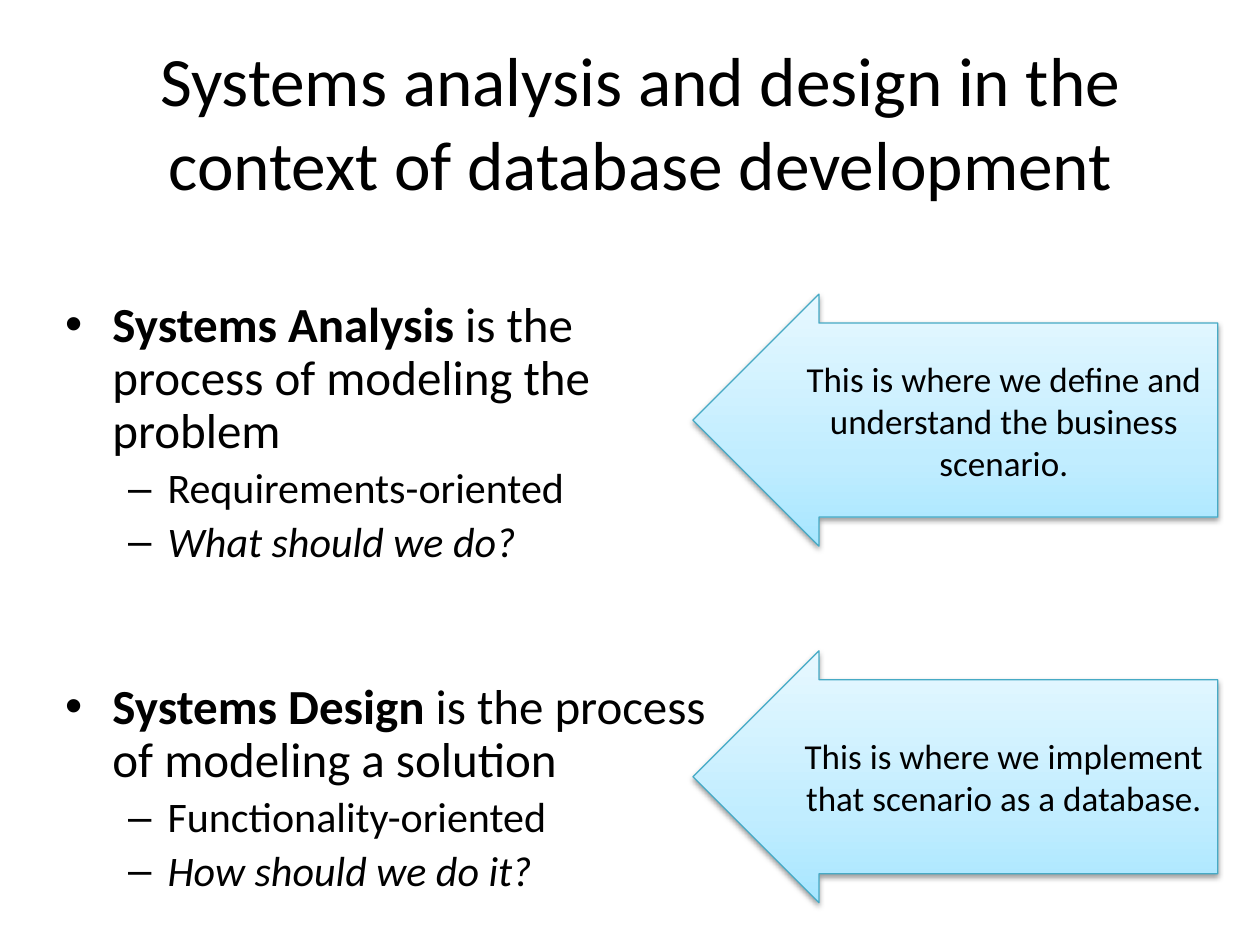
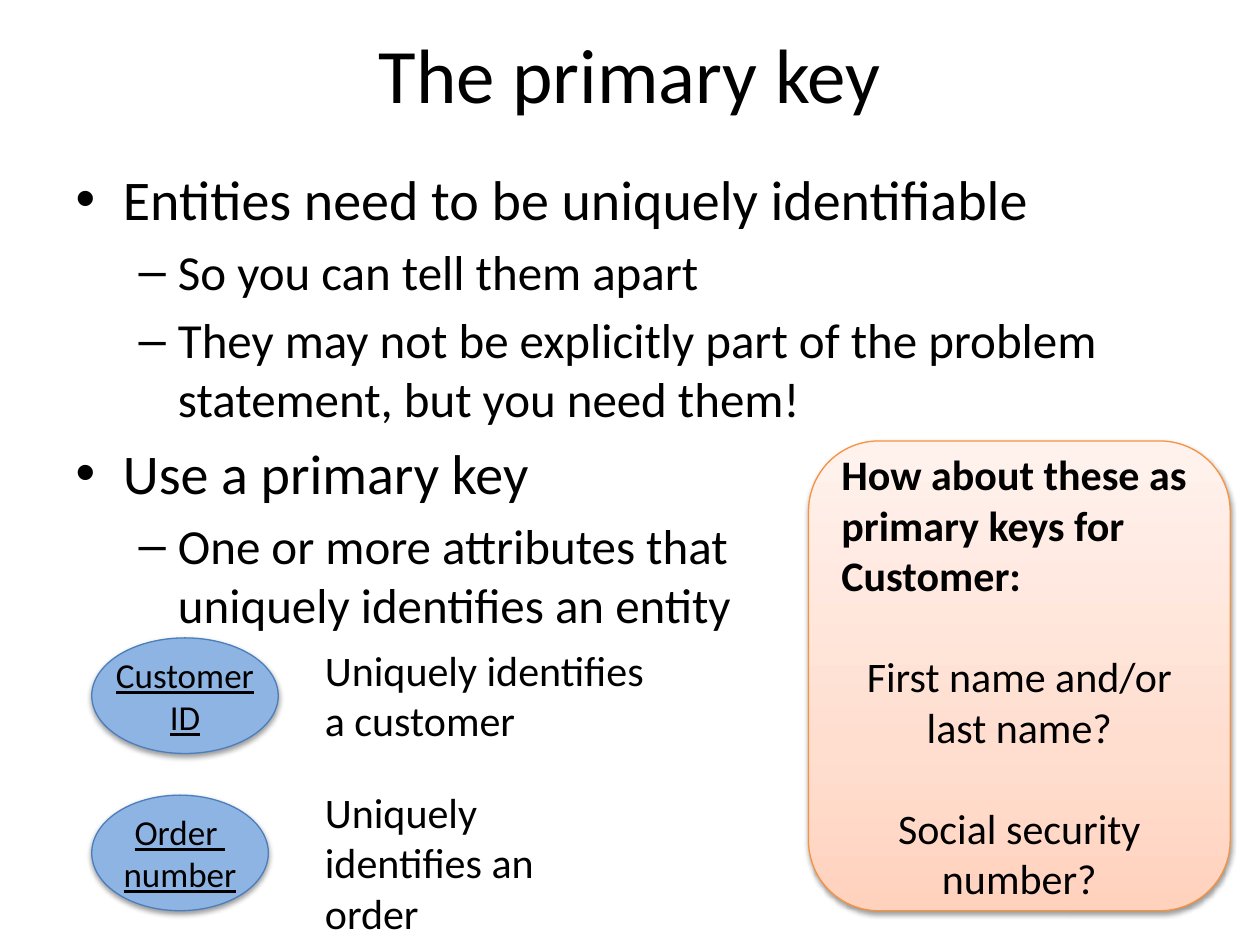
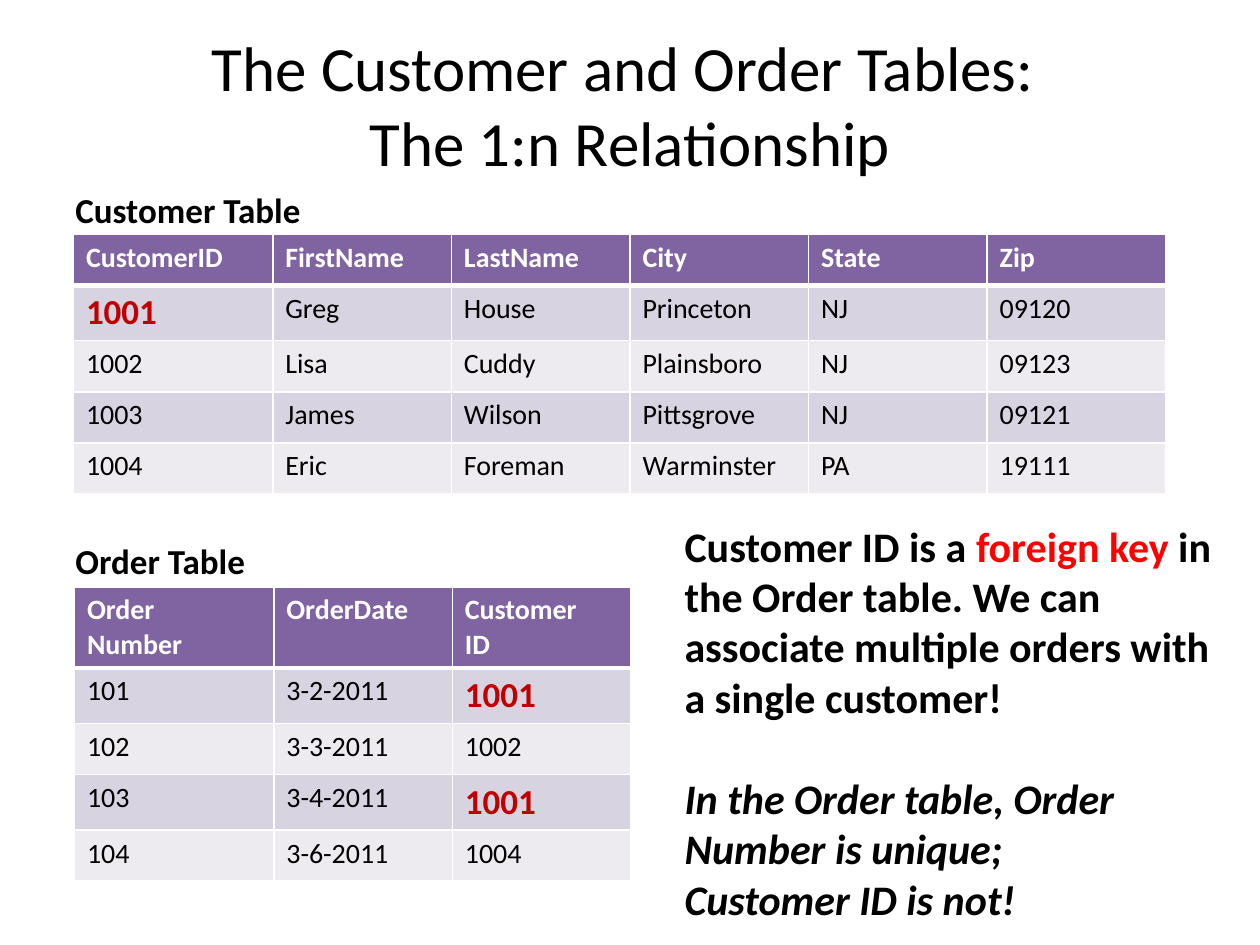
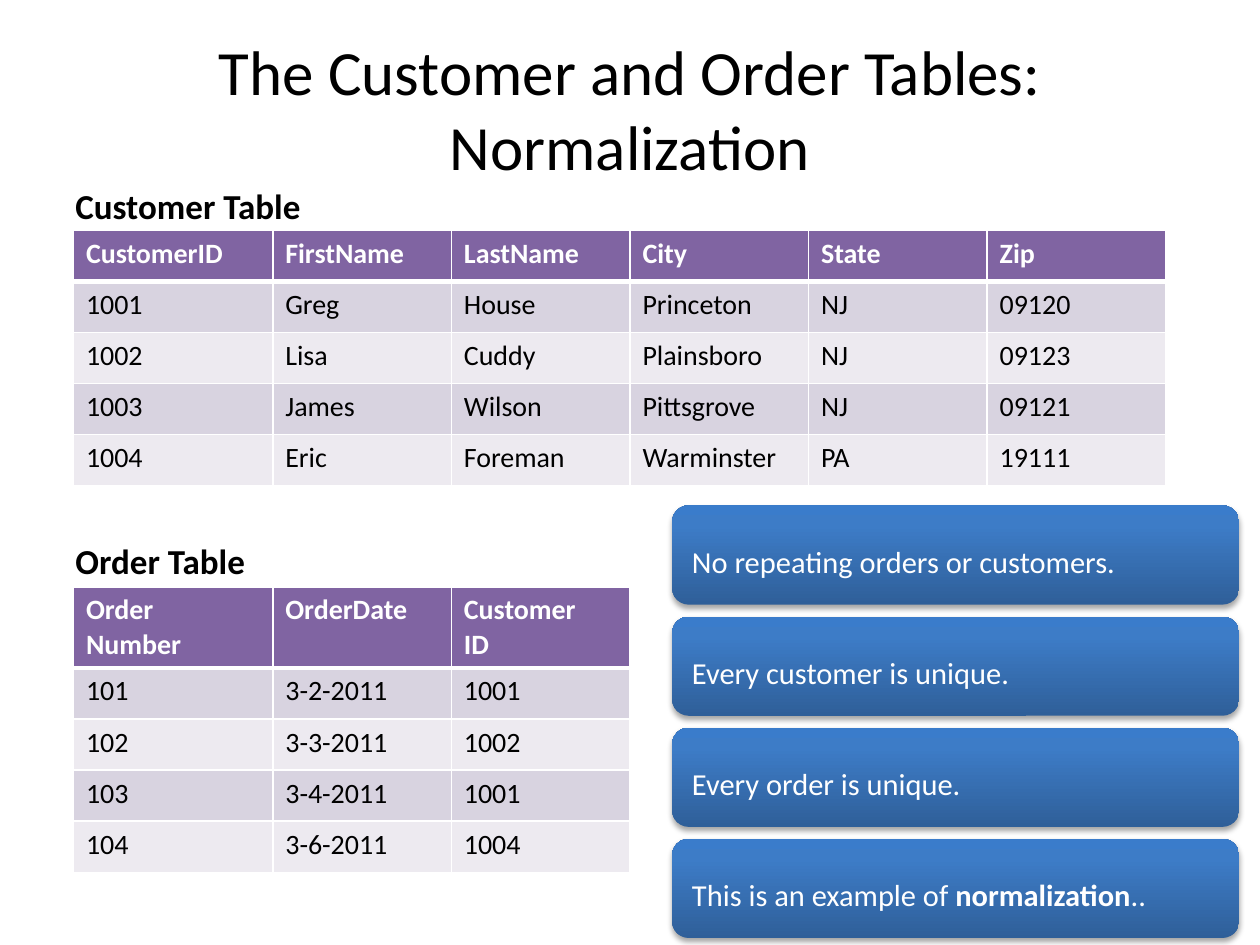
import dataclasses
import typing

import lxml.etree
import pptx
import pptx.dml.color
import pptx.enum.shapes
import pptx.enum.text
import pptx.oxml.ns
import pptx.util

Cm = pptx.util.Cm
Pt = pptx.util.Pt
qn = pptx.oxml.ns.qn
Align = pptx.enum.text.PP_ALIGN
AutoSize = pptx.enum.text.MSO_AUTO_SIZE
ShapeType = pptx.enum.shapes.MSO_SHAPE

# Shared look
FONT = "Calibri"
COLORS = {
    "black": "000000", "white": "FFFFFF", "red": "FF0000", "key": "C00000",
    "header": "8064A2", "odd_row": "D8D3E0", "even_row": "EDEAF0",
    "attribute": "8EB4E3", "attribute_line": "4B7EBC",
    "arrow_line": "46AAC5", "question_line": "F69240",
}
GRADIENTS = {
    "arrow": ((0, "A7E6FF"), (35, "C1EDFF"), (100, "E7F8FF")),
    "question": ((0, "FFD2BD"), (35, "FFDED0"), (100, "FFF2ED")),
    "rule": ((0, "2F5F99"), (80, "3D7CC7"), (100, "3A7CCB")),
}
TITLE_WIDTH = 22.86
TITLE_AND_CONTENT, TITLE_ONLY = 1, 5
BLANK_LINE = 29

# Table contents
CUSTOMERS = (
    ("CustomerID", "FirstName", "LastName", "City", "State", "Zip"),
    ("1001", "Greg", "House", "Princeton", "NJ", "09120"),
    ("1002", "Lisa", "Cuddy", "Plainsboro", "NJ", "09123"),
    ("1003", "James", "Wilson", "Pittsgrove", "NJ", "09121"),
    ("1004", "Eric", "Foreman", "Warminster", "PA", "19111"),
)
ORDERS = (
    ("Order\nNumber", "OrderDate", "Customer\nID"),
    ("101", "3-2-2011", "1001"),
    ("102", "3-3-2011", "1002"),
    ("103", "3-4-2011", "1001"),
    ("104", "3-6-2011", "1004"),
)


class Box(typing.NamedTuple):
    """Left, top, width and height in centimetres."""
    left: float
    top: float
    width: float
    height: float

    def lengths(self) -> tuple:
        return tuple(Cm(value) for value in self)


class Run(typing.NamedTuple):
    """Text with the format that differs from its paragraph."""
    text: str
    format: dict = {}


@dataclasses.dataclass
class Bullet:
    text: typing.Union[str, tuple]
    level: int = 0
    italic: bool = False
    space_before: typing.Optional[float] = None


@dataclasses.dataclass
class Attribute:
    name: str
    oval: Box
    meaning: str
    meaning_box: Box


@dataclasses.dataclass
class Panel:
    kind: typing.Any
    box: Box
    fill: str
    line: typing.Optional[str] = None
    shadow_opacity: int = 38
    shadow_distance: float = 1.6


# Text
def rgb(name: str):
    return pptx.dml.color.RGBColor.from_string(COLORS[name])


def format_run(run, size: float, color: str = "black", bold: bool = False,
               italic: bool = False, underline: bool = False, baseline: int = 0) -> None:
    font = run.font
    font.name, font.size = FONT, Pt(size)
    font.bold, font.italic, font.underline = bold, italic, underline
    font.color.rgb = rgb(color)
    if baseline:
        run._r.get_or_add_rPr().set("baseline", str(baseline * 1000))


def add_text(frame, text, align=Align.LEFT, level: int = 0, space_before=None,
             space_after=None, line_spacing=None, **style):
    """Add one paragraph; text is a string or a tuple of runs."""
    paragraph = frame.paragraphs[0]
    if paragraph.runs:
        paragraph = frame.add_paragraph()
    paragraph.alignment, paragraph.level = align, level
    if space_before is not None:
        paragraph.space_before = Pt(space_before)
    if space_after is not None:
        paragraph.space_after = Pt(space_after)
    if line_spacing is not None:
        paragraph.line_spacing = line_spacing
    for part in (Run(text),) if isinstance(text, str) else text:
        for index, line in enumerate(part.text.split("\n")):
            if index:
                paragraph.add_line_break()
            run = paragraph.add_run()
            run.text = line
            format_run(run, **{**style, **part.format})


def place(shape, box: Box) -> None:
    shape.left, shape.top, shape.width, shape.height = box.lengths()


def add_slide(presentation, layout: int, title: str, box: Box, size: float):
    slide = presentation.slides.add_slide(presentation.slide_layouts[layout])
    place(slide.shapes.title, box)
    frame = slide.shapes.title.text_frame
    frame.auto_size = AutoSize.NONE
    add_text(frame, title, align=Align.CENTER, size=size)
    return slide


def fill_body(slide, box: Box, bullets: typing.Sequence[Bullet],
              sizes: tuple, line_spacing=None) -> None:
    body = slide.placeholders[1]
    place(body, box)
    body.text_frame.auto_size = AutoSize.NONE
    for bullet in bullets:
        add_text(body.text_frame, bullet.text, level=bullet.level, size=sizes[bullet.level],
                 italic=bullet.italic, space_before=bullet.space_before,
                 line_spacing=line_spacing)


def add_text_box(shapes, box: Box, wrap: bool = True, grow: bool = True):
    frame = shapes.add_textbox(*box.lengths()).text_frame
    frame.word_wrap = wrap
    frame.auto_size = AutoSize.SHAPE_TO_FIT_TEXT if grow else AutoSize.NONE
    return frame


# Panels
def add_color(parent, value: str, opacity: int = 100) -> None:
    color = lxml.etree.SubElement(parent, qn("a:srgbClr"), val=value)
    if opacity < 100:
        lxml.etree.SubElement(color, qn("a:alpha"), val=str(opacity * 1000))


def set_gradient(shape, stops: tuple) -> None:
    """Fill from bottom to top with any number of stops."""
    shape.fill.gradient()
    shape.fill.gradient_angle = 90
    stop_list = shape._element.spPr.find(qn("a:gradFill")).find(qn("a:gsLst"))
    for stop in list(stop_list):
        stop_list.remove(stop)
    for position, value in stops:
        stop = lxml.etree.SubElement(stop_list, qn("a:gs"), pos=str(position * 1000))
        add_color(stop, value)


def set_shadow(shape, opacity: int, distance: float) -> None:
    shape.shadow.inherit = False
    effects = shape._element.spPr.find(qn("a:effectLst"))
    shadow = lxml.etree.SubElement(
        effects, qn("a:outerShdw"), blurRad=str(Pt(3.1)), dist=str(Pt(distance)),
        dir="5400000", rotWithShape="0")
    add_color(shadow, COLORS["black"], opacity)


def add_panel(shapes, panel: Panel):
    shape = shapes.add_shape(panel.kind, *panel.box.lengths())
    if panel.fill in GRADIENTS:
        set_gradient(shape, GRADIENTS[panel.fill])
    else:
        shape.fill.solid()
        shape.fill.fore_color.rgb = rgb(panel.fill)
    if panel.line:
        shape.line.color.rgb = rgb(panel.line)
        shape.line.width = Pt(0.75)
    else:
        shape.line.fill.background()
    set_shadow(shape, panel.shadow_opacity, panel.shadow_distance)
    return shape


# Tables
def set_borders(cell, row: int) -> None:
    """White rules, thicker under the header row."""
    widths = {"L": 1, "R": 1, "T": 3 if row == 1 else 1, "B": 3 if row == 0 else 1}
    properties = cell._tc.get_or_add_tcPr()
    for side, width in widths.items():
        line = lxml.etree.SubElement(properties, qn(f"a:ln{side}"), w=str(Pt(width)))
        add_color(lxml.etree.SubElement(line, qn("a:solidFill")), COLORS["white"])


def add_data_table(slide, left: float, top: float, rows: tuple, key: str) -> None:
    widths = [4.02] + [3.6] * (len(rows[0]) - 1)
    row_height = 1.03
    box = Box(left, top, sum(widths), row_height * len(rows))
    table = slide.shapes.add_table(len(rows), len(widths), *box.lengths()).table
    for column, width in zip(table.columns, widths):
        column.width = Cm(width)
    for row, values in enumerate(rows):
        table.rows[row].height = Cm(row_height)
        fill = "header" if row == 0 else "odd_row" if row % 2 else "even_row"
        for column, value in enumerate(values):
            cell = table.cell(row, column)
            set_borders(cell, row)
            cell.fill.solid()
            cell.fill.fore_color.rgb = rgb(fill)
            if row == 0:
                style = {"size": 16, "color": "white", "bold": True}
            elif value == key:
                style = {"size": 20, "color": "key", "bold": True}
            else:
                style = {"size": 16}
            add_text(cell.text_frame, value, **style)


def add_tables_slide(presentation, title: str, title_top: float, customer_top: float,
                     order_left: float = 1.48, key: str = ""):
    """Title with the labelled customer table above the order table."""
    slide = add_slide(presentation, TITLE_ONLY, title,
                      Box(1.27, title_top, TITLE_WIDTH, 3.18), 36)
    order_top = 11.83
    add_data_table(slide, 1.48, customer_top, CUSTOMERS, key)
    add_data_table(slide, order_left, order_top, ORDERS, key)
    for label, top, width in (("Customer Table", customer_top - 1.04, 5.84),
                              ("Order Table", order_top - 1.08, 4.45)):
        frame = add_text_box(slide.shapes, Box(1.27, top, width, 1.12), wrap=False)
        add_text(frame, label, size=20, bold=True)
    return slide


# Slides
def build_analysis_slide(presentation) -> None:
    slide = add_slide(presentation, TITLE_AND_CONTENT,
                      "Systems analysis and design in the context of database development",
                      Box(1.48, 1.06, TITLE_WIDTH, 2.75), 39.6)
    bold = {"bold": True}
    fill_body(slide, Box(1.06, 5.93, 13.76, 12.7), (
        Bullet((Run("Systems Analysis", bold), Run(" is the process of modeling the problem"))),
        Bullet("Requirements-oriented", 1),
        Bullet("What should we do?", 1, italic=True),
        Bullet((Run("Systems Design", bold), Run(" is the process of modeling a solution")),
               space_before=66),
        Bullet("Functionality-oriented", 1),
        Bullet("How should we do it?", 1, italic=True),
    ), sizes=(28, 24), line_spacing=0.9)
    for top, text in (
            (5.93, "This is where we define and understand the business scenario."),
            (13.12, "This is where we implement that scenario as a database.")):
        arrow = add_panel(slide.shapes, Panel(
            ShapeType.LEFT_ARROW, Box(13.97, top, 10.58, 5.08), "arrow", "arrow_line"))
        arrow.adjustments[0], arrow.adjustments[1] = 0.77, 0.5
        add_text(arrow.text_frame, text, align=Align.CENTER, size=20)


def build_primary_key_slide(presentation) -> None:
    slide = add_slide(presentation, TITLE_AND_CONTENT, "The primary key",
                      Box(1.27, 0.3, TITLE_WIDTH, 2.33), 44)
    fill_body(slide, Box(1.27, 3.18, 24.13, 9.12), (
        Bullet("Entities need to be uniquely identifiable"),
        Bullet("So you can tell them apart", 1),
        Bullet("They may not be explicitly part of the problem statement, "
               "but you need them!", 1),
        Bullet("Use a primary key"),
        Bullet("One or more attributes that \nuniquely identifies an entity", 1),
    ), sizes=(32, 28))

    attributes = (
        Attribute("Order \nnumber", Box(1.85, 16.03, 3.56, 2.33),
                  "Uniquely identifies an order", Box(6.3, 15.73, 6.48, 3.33)),
        Attribute("Customer\nID", Box(1.85, 12.86, 3.76, 2.33),
                  "Uniquely identifies a customer", Box(6.3, 12.86, 7.09, 2.31)),
    )
    for attribute in attributes:
        oval = add_panel(slide.shapes, Panel(
            ShapeType.OVAL, attribute.oval, "attribute", "attribute_line"))
        oval.text_frame.word_wrap = False
        add_text(oval.text_frame, attribute.name, align=Align.CENTER, size=20, underline=True)
        add_text(add_text_box(slide.shapes, attribute.meaning_box), attribute.meaning, size=24)

    question = add_panel(slide.shapes, Panel(
        ShapeType.ROUNDED_RECTANGLE, Box(16.3, 8.89, 8.5, 9.47), "question", "question_line"))
    frame = question.text_frame
    add_text(frame, "How about these as primary keys for Customer:", size=24, bold=True)
    for text in ("First name and/or last name?", "Social security number?"):
        add_text(frame, text, align=Align.CENTER, size=24, space_before=BLANK_LINE)


def build_relationship_slide(presentation) -> None:
    slide = add_tables_slide(
        presentation, "The Customer and Order Tables: \nThe 1:n Relationship",
        title_top=0.5, customer_top=4.72, order_left=1.5, key="1001")
    frame = add_text_box(slide.shapes, Box(13.55, 10.36, 11.43, 8.46))
    add_text(frame, (
        Run("Customer ID is a "),
        Run("foreign key ", {"color": "red"}),
        Run("in the Order table. We can associate multiple orders with a single customer!"),
    ), size=24, bold=True)
    add_text(frame, "In the Order table, Order Number is unique; \nCustomer ID is not!",
             size=24, bold=True, italic=True, space_before=BLANK_LINE)


def build_normalization_slide(presentation) -> None:
    slide = add_tables_slide(
        presentation, "The Customer and Order Tables:\nNormalization",
        title_top=0.58, customer_top=4.64)
    rules = (
        "No repeating orders or customers.",
        "Every customer is unique.",
        "Every order is unique.",
        (Run("This is an example of "), Run("normalization", {"bold": True}), Run("..")),
    )
    shapes = slide.shapes.add_group_shape().shapes
    for index, rule in enumerate(rules):
        box = Box(13.55, 10.19 + 2.24 * index, 11.43, 2.0)
        add_panel(shapes, Panel(ShapeType.ROUNDED_RECTANGLE, box, "rule",
                                shadow_opacity=35, shadow_distance=1.8))
        inner = Box(box.left + 0.1, box.top + 0.1, box.width - 0.2, box.height - 0.2)
        frame = add_text_box(shapes, inner, grow=False)
        frame.vertical_anchor = pptx.enum.text.MSO_ANCHOR.MIDDLE
        frame.margin_left = frame.margin_right = Cm(0.3)
        frame.margin_top = frame.margin_bottom = Cm(0.3)
        add_text(frame, rule, size=30, color="white", baseline=-3,
                 line_spacing=0.9, space_after=10.5)


def main() -> None:
    presentation = pptx.Presentation()
    presentation.slide_width, presentation.slide_height = Cm(25.4), Cm(19.05)
    build_analysis_slide(presentation)
    build_primary_key_slide(presentation)
    build_relationship_slide(presentation)
    build_normalization_slide(presentation)
    presentation.save("out.pptx")


if __name__ == "__main__":
    main()
